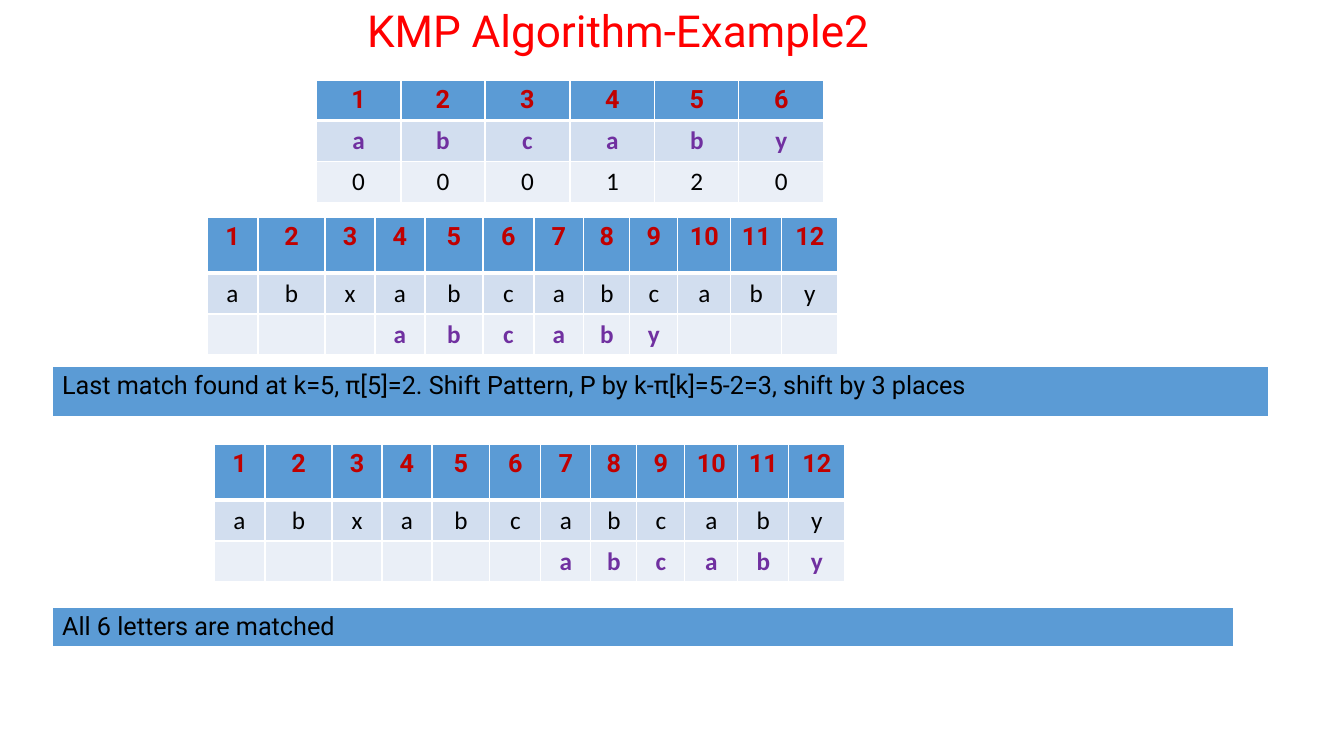
from lxml.etree import SubElement
from pptx import Presentation
from pptx.dml.color import RGBColor
from pptx.enum.text import MSO_ANCHOR, PP_ALIGN
from pptx.oxml.ns import qn
from pptx.util import Emu, Pt

PX = 9071  # EMU per px, 100.8 px to the inch
HEAD = dict(name="Roboto", bold=True, color="C00000", fill="5B9BD5")
PATTERN = dict(name="Calibri", bold=True, color="7030A0", fill="D2DEEF")
TEXT = dict(PATTERN, bold=False, color="000000")
BANNER = dict(HEAD, bold=False, color="000000")
LIGHT = "EAEFF7"


def write(p, text, size, look, align):
    p.alignment = align
    r = p.add_run()
    r.text = text
    r.font.size = Pt(size)
    r.font.color.rgb = RGBColor.from_string(look["color"])
    for key in ("name", "bold"):
        setattr(r.font, key, look[key])


def add_grid(x, y, widths, heights, rows, looks, align=PP_ALIGN.CENTER):
    """Add a table with white borders, thicker under its first row."""
    frame = s.shapes.add_table(len(rows), len(widths), *(
        Emu(v * PX) for v in (x, y, sum(widths), sum(heights))))
    table = frame.table
    table.first_row = table.horz_banding = False
    for col, width in zip(table.columns, widths):
        col.width = Emu(width * PX)
    for i, (row, height, texts, look) in enumerate(zip(table.rows, heights, rows, looks)):
        row.height = Emu(height * PX)
        borders = dict(L=1, R=1, T=3 if i == 1 else 1, B=3 if i == 0 else 1)
        for cell, text in zip(row.cells, texts):
            tcPr = cell._tc.get_or_add_tcPr()
            for side, points in borders.items():
                ln = SubElement(tcPr, qn(f"a:ln{side}"), w=str(Pt(points)))
                SubElement(SubElement(ln, qn("a:solidFill")), qn("a:srgbClr"), val="FFFFFF")
            cell.fill.solid()
            cell.fill.fore_color.rgb = RGBColor.from_string(look["fill"])
            if text.strip():
                write(cell.text_frame.paragraphs[0], text, 18, look, align)


prs = Presentation()
prs.slide_width, prs.slide_height = Emu(1344 * PX), Emu(756 * PX)
s = prs.slides.add_slide(prs.slide_layouts[6])

title = s.shapes.add_textbox(*(Emu(v * PX) for v in (38, 13, 1160, 41)))
tf = title.text_frame
tf.word_wrap = True
tf.vertical_anchor = MSO_ANCHOR.MIDDLE
p = tf.paragraphs[0]
p.line_spacing = 0.9
write(p, "KMP Algorithm-Example2", 31.5,
      dict(name="Roboto", bold=False, color="FF0000"), PP_ALIGN.CENTER)

# Prefix table of the pattern
pattern = "abcaby"
add_grid(316, 80, [85, 84, 85] * 2, [39, 41, 41],
         ["123456", pattern, "000120"], [HEAD, PATTERN, dict(TEXT, fill=LIGHT)])

# Pattern aligned under the text, before and after the shift
text = "abxabcabcaby"
positions = [str(n + 1) for n in range(len(text))]
text_widths = [51, 67, 50, 50, 58, 51, 50, 46, 48, 53, 51, 56]
for x, y, shift in ((207, 217, 3), (214, 444, 6)):
    aligned = (" " * shift + pattern).ljust(len(text))
    add_grid(x, y, text_widths, [56, 41, 41],
             [positions, text, aligned], [HEAD, TEXT, dict(PATTERN, fill=LIGHT)])

for y, width, height, note in (
        (366, 1217, 52, "Last match found at k=5, π[5]=2. Shift Pattern, P by k-π[k]=5-2=3, shift by 3 places"),
        (607, 1182, 41, "All 6 letters are matched")):
    add_grid(52, y, [width], [height], [[note]], [BANNER], PP_ALIGN.LEFT)

prs.save("out.pptx")
